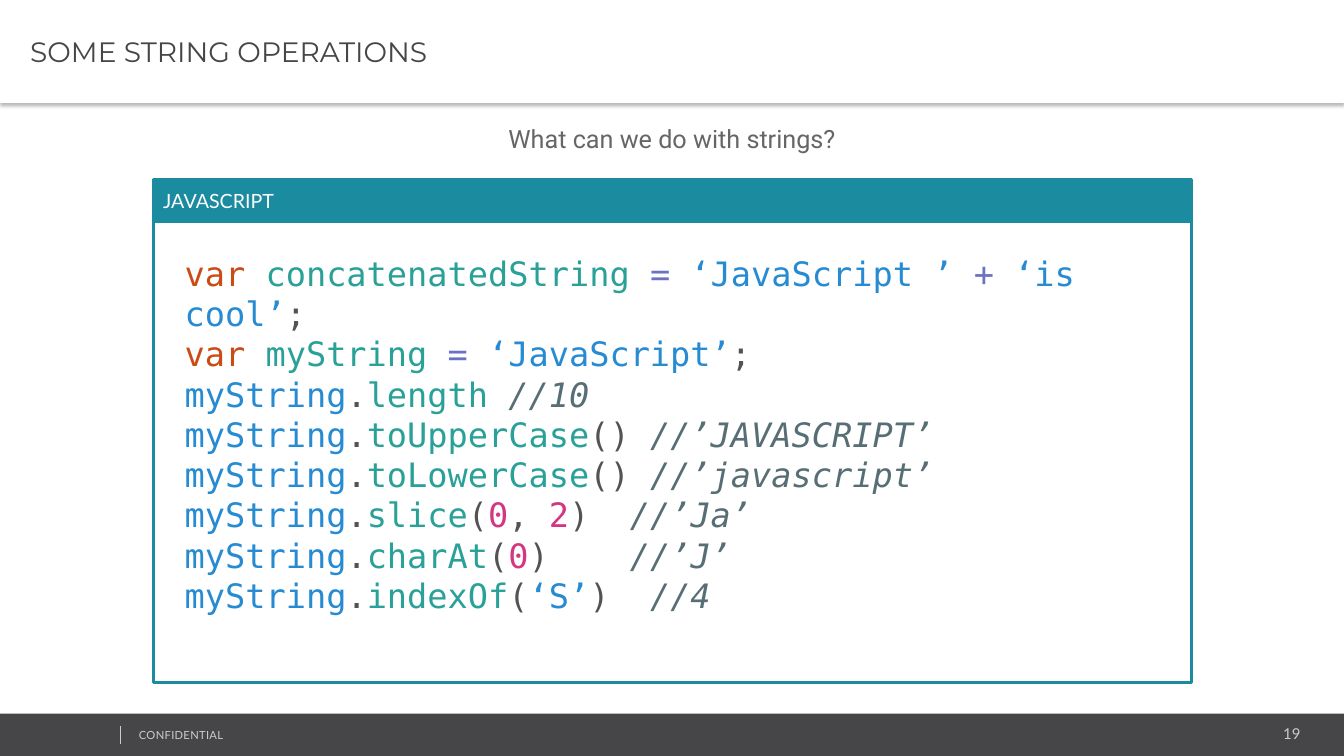
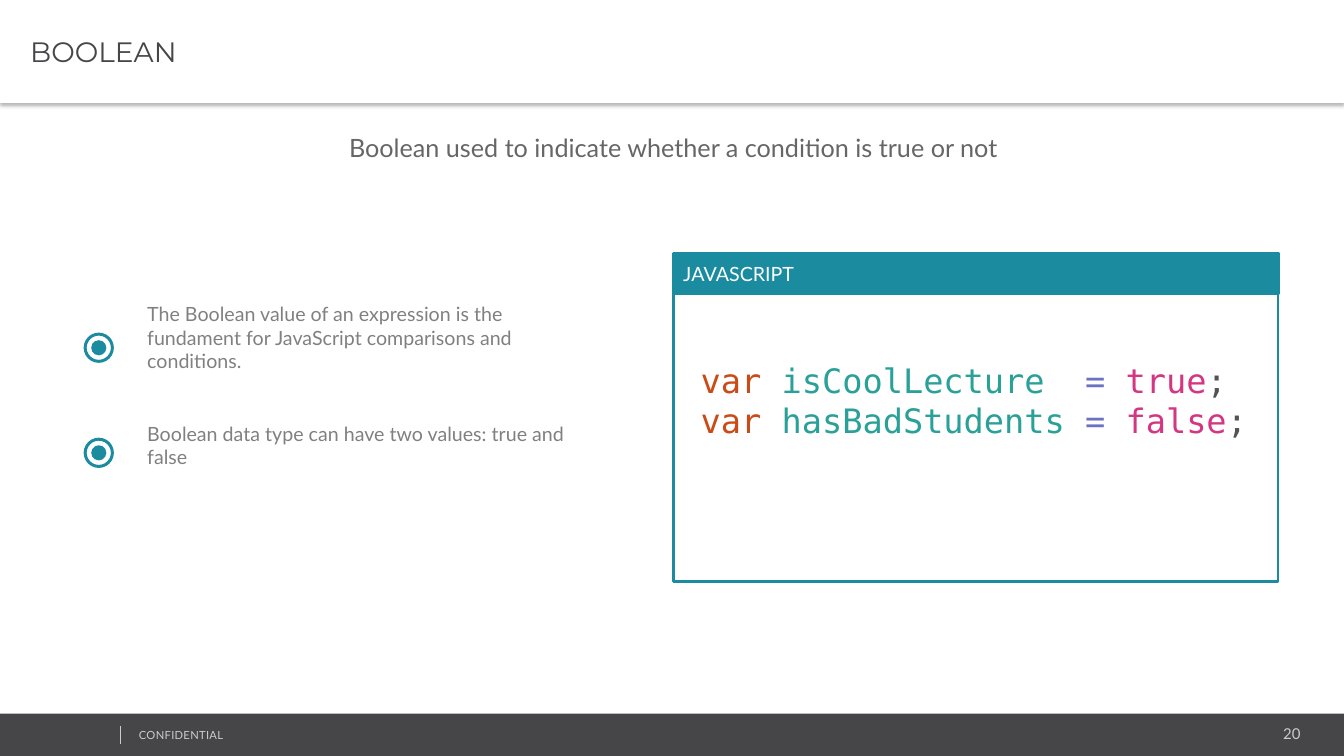
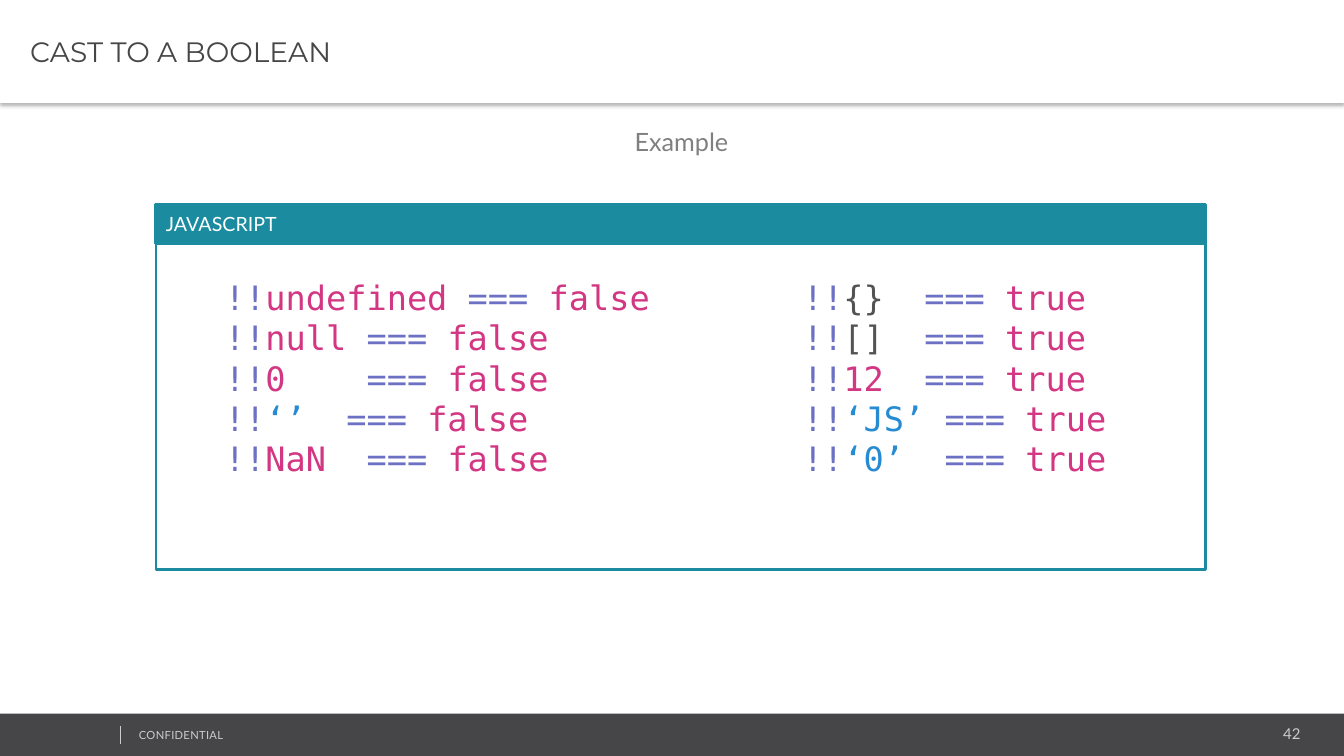
from pptx import Presentation
from pptx.dml.color import RGBColor
from pptx.enum.shapes import MSO_CONNECTOR, MSO_SHAPE
from pptx.enum.text import MSO_ANCHOR, MSO_AUTO_SIZE, PP_ALIGN
from pptx.oxml.ns import qn
from pptx.util import Inches, Pt
from lxml.etree import SubElement

WIDTH, HEIGHT = Inches(13.33), Inches(7.5)
TITLE_AND_BODY, TITLE_ONLY = 1, 5
GAP = chr(160) + " "  # non-breaking space keeps the code columns apart

COLOURS = {
    "white": "FFFFFF", "black": "000000", "dark": "464547", "teal": "1B8BA0",
    "pale": "CCCCCC", "subtitle": "666666", "grey": "808080",
    "keyword": "CB4B16", "name": "2AA198", "operator": "6C71C4",
    "string": "268BD2", "plain": "535353", "number": "D33682", "comment": "586E75",
}

FORMATS = {
    "title": {"name": "Montserrat", "size": Pt(20)},
    "subtitle": {"name": "Lato", "size": Pt(18)},
    "label": {"name": "Lato", "size": Pt(14)},
    "footer": {"name": "Lato", "size": Pt(8)},
    "page": {"name": "Lato", "size": Pt(10.7)},
    "code": {"name": "DejaVu Sans Mono", "size": Pt(24)},
}


def colour(name):
    return RGBColor.from_string(COLOURS[name])


def place(left, top, width, height):
    """Turn percentages of the slide's size into lengths."""
    return [round(share * side / 100) for share, side in
            zip((left, top, width, height), (WIDTH, HEIGHT) * 2)]


def add_run(paragraph, text, style, colour_name, **extra):
    run = paragraph.add_run()
    run.text = text
    for attribute, value in {**FORMATS[style], **extra}.items():
        setattr(run.font, attribute, value)
    run.font.color.rgb = colour(colour_name)
    return run


def set_frame(shape, **settings):
    defaults = {"word_wrap": True, "auto_size": MSO_AUTO_SIZE.NONE,
                "vertical_anchor": MSO_ANCHOR.TOP}
    for attribute, value in {**defaults, **settings}.items():
        setattr(shape.text_frame, attribute, value)
    return shape.text_frame


def add_text(slide, box, text, style, colour_name, align=PP_ALIGN.LEFT):
    shape = slide.shapes.add_textbox(*place(*box))
    paragraph = set_frame(shape).paragraphs[0]
    paragraph.alignment = align
    add_run(paragraph, text, style, colour_name)
    return shape


def add_shape(slide, kind, box, fill=None, line=None, line_width=2):
    shape = slide.shapes.add_shape(kind, *place(*box))
    shape.shadow.inherit = False
    if fill:
        shape.fill.solid()
        shape.fill.fore_color.rgb = colour(fill)
    else:
        shape.fill.background()
    if line:
        shape.line.color.rgb = colour(line)
        shape.line.width = Pt(line_width)
    else:
        shape.line.fill.background()
    return shape


def add_master_footer(presentation, slide):
    """Draw the footer on a slide, then move it to the master that all slides share."""
    band = add_shape(slide, MSO_SHAPE.RECTANGLE, (0, 94.4, 100, 5.6), "dark")
    notice = add_text(slide, (9.6, 95.7, 25.4, 3.2), "CONFIDENTIAL", "footer", "pale")
    run = notice.text_frame.paragraphs[0].runs[0]
    run.font._element.set("spc", "20")
    left, top, _, length = place(8.92, 96, 0, 2.4)
    divider = slide.shapes.add_connector(MSO_CONNECTOR.STRAIGHT, left, top, left, top + length)
    divider.line.color.rgb = colour("pale")
    divider.line.width = Pt(0.25)
    SubElement(divider._element.spPr, qn("a:effectLst"))
    for shape in (band, notice, divider):
        presentation.slide_master.shapes._spTree.append(shape._element)


def add_title_shadow(shape):
    effects = SubElement(shape._element.spPr, qn("a:effectLst"))
    shadow = SubElement(effects, qn("a:outerShdw"), blurRad=str(Pt(3.1)),
                        dist=str(Pt(2)), dir="5400000", algn="t", rotWithShape="0")
    shade = SubElement(shadow, qn("a:srgbClr"), val=COLOURS["black"])
    SubElement(shade, qn("a:alpha"), val="30000")


def move(shape, box):
    shape.left, shape.top, shape.width, shape.height = place(*box)


def add_slide(presentation, layout, title, page):
    slide = presentation.slides.add_slide(presentation.slide_layouts[layout])
    band = slide.shapes.title
    move(band, (0, 0, 100, 13.6))
    band.fill.solid()
    band.fill.fore_color.rgb = colour("white")
    add_title_shadow(band)
    frame = set_frame(band, vertical_anchor=MSO_ANCHOR.MIDDLE, margin_left=Inches(0.3))
    paragraph = frame.paragraphs[0]
    paragraph.alignment = PP_ALIGN.LEFT
    add_run(paragraph, title, "title", "dark")
    add_text(slide, (81.15, 95.2, 16.35, 3.7), page, "page", "pale", PP_ALIGN.RIGHT)
    return slide


def add_subtitle(slide, text, centre, top, colour_name="subtitle", font="Lato"):
    width = 60
    shape = add_text(slide, (centre - width / 2, top, width, 5.3), text,
                     "subtitle", colour_name, PP_ALIGN.CENTER)
    shape.text_frame.paragraphs[0].runs[0].font.name = font


def add_panel(slide, left, top, width, header_height, body_height):
    """Add an outlined code panel under its language header."""
    add_shape(slide, MSO_SHAPE.RECTANGLE,
              (left, top + header_height, width, body_height), line="teal")
    header = add_shape(slide, MSO_SHAPE.RECTANGLE, (left, top, width, header_height),
                       "teal", "teal", 2.25)
    frame = set_frame(header, vertical_anchor=MSO_ANCHOR.MIDDLE)
    frame.paragraphs[0].alignment = PP_ALIGN.LEFT
    add_run(frame.paragraphs[0], "JAVASCRIPT", "label", "white")


def add_code(slide, box, lines):
    """Write lines of (colour name, text) tokens."""
    frame = set_frame(slide.shapes.add_textbox(*place(*box)))
    for index, tokens in enumerate(lines):
        paragraph = frame.add_paragraph() if index else frame.paragraphs[0]
        paragraph.line_spacing = Pt(28.75)
        for kind, text in tokens:
            add_run(paragraph, text, "code", kind, italic=kind == "comment")


def declaration(name, *value):
    return [("keyword", "var "), ("name", name), ("operator", "= "), *value, ("plain", ";")]


def member(name, *tokens):
    """A use of a member of myString; the last token is the comment."""
    *arguments, comment = tokens
    return [("string", "myString"), ("plain", "."), ("name", name),
            *arguments, ("comment", comment)]


def cast(kind, value, result):
    return [("operator", "!!"), (kind, value), ("operator", "=== "), ("number", result)]


def add_list(slide, items):
    body = slide.placeholders[1]
    move(body, (10.2, 39.3, 33.1, 25.3))
    frame = set_frame(body)
    for index, item in enumerate(items):
        paragraph = frame.add_paragraph() if index else frame.paragraphs[0]
        paragraph.space_before = Pt(35 if index else 0)
        properties = paragraph._p.get_or_add_pPr()
        properties.set("marL", "0")
        properties.set("indent", "0")
        SubElement(properties, qn("a:buNone"))
        add_run(paragraph, item, "label", "grey")


def add_target(slide, centre_x, centre_y):
    """Add a ringed dot as a list mark."""
    for kind, height in ((MSO_SHAPE.DONUT, 4), (MSO_SHAPE.OVAL, 2)):
        width = height * HEIGHT / WIDTH
        box = (centre_x - width / 2, centre_y - height / 2, width, height)
        shape = add_shape(slide, kind, box, "teal")
        if kind == MSO_SHAPE.DONUT:
            shape.adjustments[0] = 0.1


def build_string_slide(presentation):
    slide = add_slide(presentation, TITLE_ONLY, "SOME STRING OPERATIONS", "19")
    add_master_footer(presentation, slide)
    add_subtitle(slide, "What can we do with strings?", 50, 15.7, font="Roboto")
    add_panel(slide, 11.4, 23.7, 77.25, 5.6, 61)
    add_code(slide, (13, 32.8, 72.5, 50), [
        declaration("concatenatedString ", ("string", "‘JavaScript ’ "),
                    ("operator", "+ "), ("string", "‘is cool’")),
        declaration("myString ", ("string", "‘JavaScript’")),
        member("length ", "//10"),
        member("toUpperCase", ("plain", "() "), "//’JAVASCRIPT’"),
        member("toLowerCase", ("plain", "() "), "//’javascript’"),
        member("slice", ("plain", "("), ("number", "0"), ("plain", ", "),
               ("number", "2"), ("plain", ")" + GAP), "//’Ja’"),
        member("charAt", ("plain", "("), ("number", "0"), ("plain", ")" + GAP * 2), "//’J’"),
        member("indexOf", ("plain", "("), ("string", "‘S’"), ("plain", ")" + GAP), "//4"),
    ])


def build_boolean_slide(presentation):
    slide = add_slide(presentation, TITLE_AND_BODY, "BOOLEAN", "20")
    add_subtitle(slide, "Boolean used to indicate whether a condition is true or not", 50.1, 16.9)
    add_list(slide, [
        "The Boolean value of an expression is the fundament for JavaScript "
        "comparisons and conditions.",
        "Boolean data type can have two values: true and false",
    ])
    for centre_y in (46, 59.9):
        add_target(slide, 7.35, centre_y)
    add_panel(slide, 50.1, 33.5, 45, 5.3, 38.1)
    add_code(slide, (51.4, 46.9, 42.5, 17.5), [
        declaration("isCoolLecture" + GAP, ("number", "true")),
        declaration("hasBadStudents ", ("number", "false")),
    ])


def build_cast_slide(presentation):
    slide = add_slide(presentation, TITLE_ONLY, "CAST TO A BOOLEAN", "42")
    add_subtitle(slide, "Example", 50.7, 16.1, "grey")
    add_panel(slide, 11.6, 27.1, 78.1, 5.1, 43.1)
    falsy = [("number", "undefined "), ("number", "null "), ("number", "0" + GAP * 2),
             ("string", "‘’" + GAP), ("number", "NaN" + GAP)]
    truthy = [("plain", "{}" + GAP), ("plain", "[]" + GAP), ("number", "12" + GAP),
              ("string", "‘JS’ "), ("string", "‘0’" + GAP)]
    for left, values, result in ((16, falsy, "false"), (59, truthy, "true")):
        add_code(slide, (left, 36, 36, 28),
                 [cast(kind, value, result) for kind, value in values])


def main():
    presentation = Presentation()
    presentation.slide_width, presentation.slide_height = WIDTH, HEIGHT
    build_string_slide(presentation)
    build_boolean_slide(presentation)
    build_cast_slide(presentation)
    presentation.save("out.pptx")


if __name__ == "__main__":
    main()
